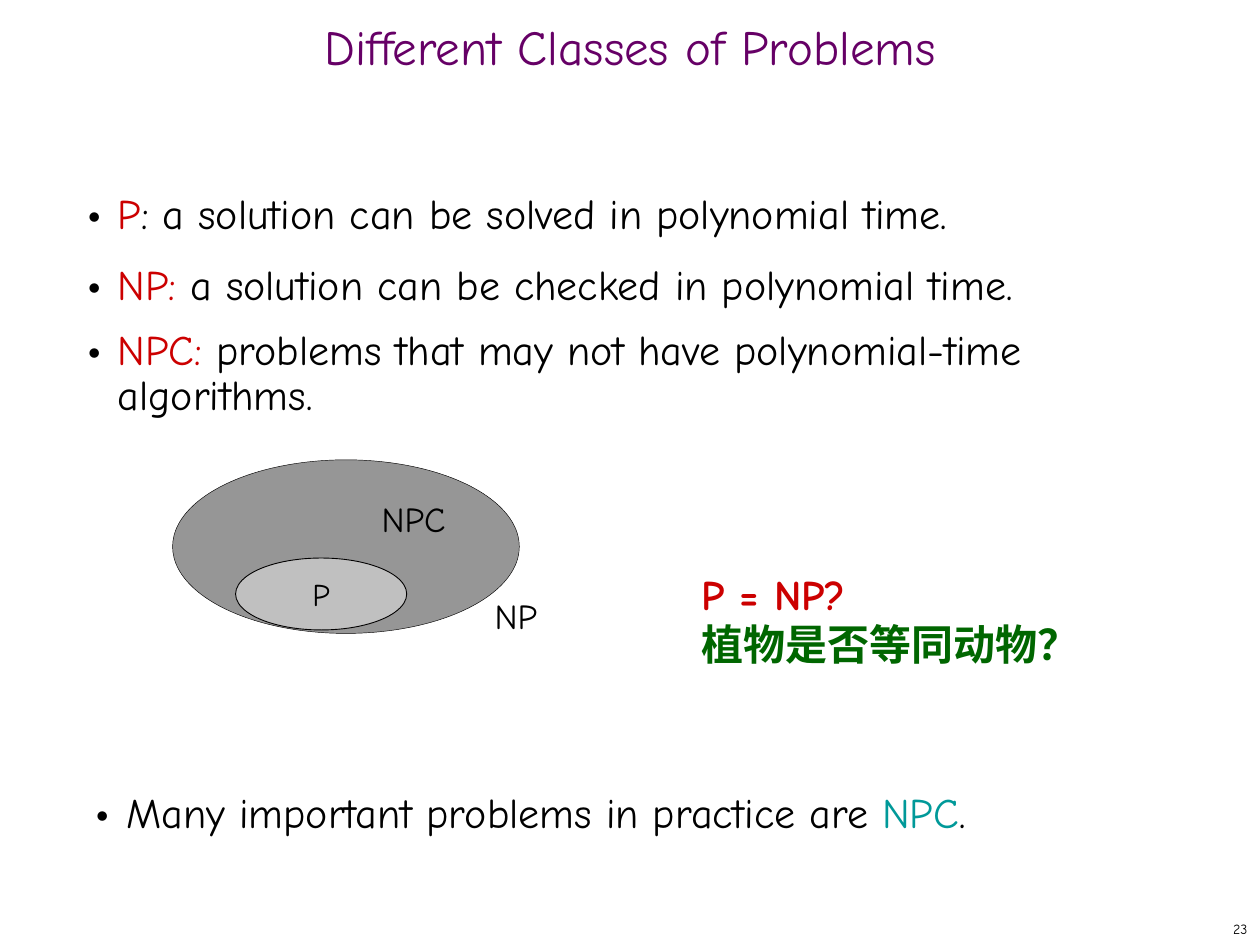
from lxml.etree import SubElement
from pptx import Presentation
from pptx.dml.color import RGBColor
from pptx.enum.shapes import MSO_SHAPE
from pptx.enum.text import MSO_ANCHOR, MSO_AUTO_SIZE, PP_ALIGN
from pptx.oxml.ns import qn
from pptx.util import Cm, Pt

BLACK = RGBColor(0x00, 0x00, 0x00)
EDGE = RGBColor(0x01, 0x00, 0x00)
RED = RGBColor(0xCC, 0x00, 0x00)
PURPLE = RGBColor(0x66, 0x00, 0x66)
GREEN = RGBColor(0x00, 0x66, 0x00)
TEAL = RGBColor(0x00, 0x99, 0x99)
DARK = RGBColor(0x96, 0x96, 0x96)
LIGHT = RGBColor(0xC0, 0xC0, 0xC0)


def apply(item, **values):
    for name, value in values.items():
        setattr(item, name, value)


class Deck:
    font = "Comic Neue"
    size = 24

    def __init__(self, show):
        self.slide = show.slides.add_slide(show.slide_layouts[1])

    def place(self, shape, box):
        names = ("left", "top", "width", "height")
        apply(shape, **dict(zip(names, map(Cm, box))))

    def letter(self, para, runs, size=None, bold=False, **form):
        """Add (text, colour) runs to a paragraph."""
        apply(para, **form)
        for text, color in runs:
            run = para.add_run()
            run.text = text
            apply(run.font, name=self.font, size=Pt(size or self.size), bold=bold)
            run.font.color.rgb = color

    def fill(self, frame, lines, anchor=MSO_ANCHOR.TOP, **form):
        apply(frame, word_wrap=True, auto_size=MSO_AUTO_SIZE.NONE,
              vertical_anchor=anchor)
        for i, runs in enumerate(lines):
            para = frame.add_paragraph() if i else frame.paragraphs[0]
            self.letter(para, runs, **form)

    def title(self, text, box):
        shape = self.slide.shapes.title
        self.place(shape, box)
        self.fill(shape.text_frame, [[(text, PURPLE)]], MSO_ANCHOR.MIDDLE,
                  size=28, alignment=PP_ALIGN.CENTER, line_spacing=0.7)

    def text(self, lines, box, home=None, **form):
        home = home or self.slide.shapes
        shape = home.add_textbox(*map(Cm, box))
        self.fill(shape.text_frame, lines, **form)
        return shape

    def bullet(self, para):
        props = para._p.get_or_add_pPr()
        props.set("marL", str(Cm(0.95)))
        props.set("indent", str(Cm(-0.64)))
        color = SubElement(props, qn("a:buClr"))
        SubElement(color, qn("a:srgbClr"), val=str(BLACK))
        SubElement(props, qn("a:buSzPct"), val="125000")
        SubElement(props, qn("a:buFont"), typeface=self.font)
        SubElement(props, qn("a:buChar"), char="•")

    def points(self, shape, lines, gaps):
        """Fill a shape with bullets, each after its gap in points."""
        self.fill(shape.text_frame, lines, line_spacing=0.9)
        for para, gap in zip(shape.text_frame.paragraphs, gaps):
            self.bullet(para)
            para.space_before = Pt(gap)

    def body(self, lines, gaps, box):
        shape = self.slide.placeholders[1]
        self.place(shape, box)
        self.points(shape, lines, gaps)

    def oval(self, home, box, color, width, label=None):
        shape = home.add_shape(MSO_SHAPE.OVAL, *map(Cm, box))
        shape.shadow.inherit = False
        shape.fill.solid()
        shape.fill.fore_color.rgb = color
        shape.line.color.rgb = EDGE
        shape.line.width = Pt(width)
        if label:
            self.fill(shape.text_frame, [[(label, BLACK)]], MSO_ANCHOR.MIDDLE,
                      size=18, alignment=PP_ALIGN.CENTER)

    def classes(self):
        home = self.slide.shapes.add_group_shape().shapes
        self.oval(home, (3.48, 9.27, 6.99, 3.5), DARK, 0.25)
        self.oval(home, (4.75, 11.25, 3.45, 1.45), LIGHT, 0.5, "P")
        for label, left, top in (("NPC", 6.93, 9.91), ("NP", 8.99, 11.86)):
            self.text([[(label, BLACK)]], (left, top, 2.82, 1.12), home,
                      size=20, alignment=PP_ALIGN.CENTER)


def main():
    show = Presentation()
    apply(show, slide_width=Cm(25.4), slide_height=Cm(19.05))
    deck = Deck(show)
    deck.title("Different Classes of Problems", (0, 0.43, 25.4, 1.27))
    deck.body([
        [("P", RED), (": a solution can be solved in polynomial time.", BLACK)],
        [("NP: ", RED), ("a solution can be checked in polynomial time.", BLACK)],
        [("NPC: ", RED),
         ("problems that may not have polynomial-time algorithms.", BLACK)],
    ], (0, 15, 11), (1.17, 3.76, 22.43, 5.2))
    deck.classes()
    deck.text([[("P = NP?", RED)], [("植物是否等同动物？", GREEN)]],
              (13.89, 11.33, 8.56, 2.29), bold=True)
    note = deck.text([], (1.35, 15.85, 21.44, 2.55))
    deck.points(note, [[("Many important problems in practice are ", BLACK),
                        ("NPC", TEAL), (".", BLACK)]], (0,))
    deck.text([[("23", BLACK)]], (20.12, 18.42, 5.28, 0.63), size=8,
              anchor=MSO_ANCHOR.MIDDLE, alignment=PP_ALIGN.RIGHT)
    show.save("out.pptx")


if __name__ == "__main__":
    main()
